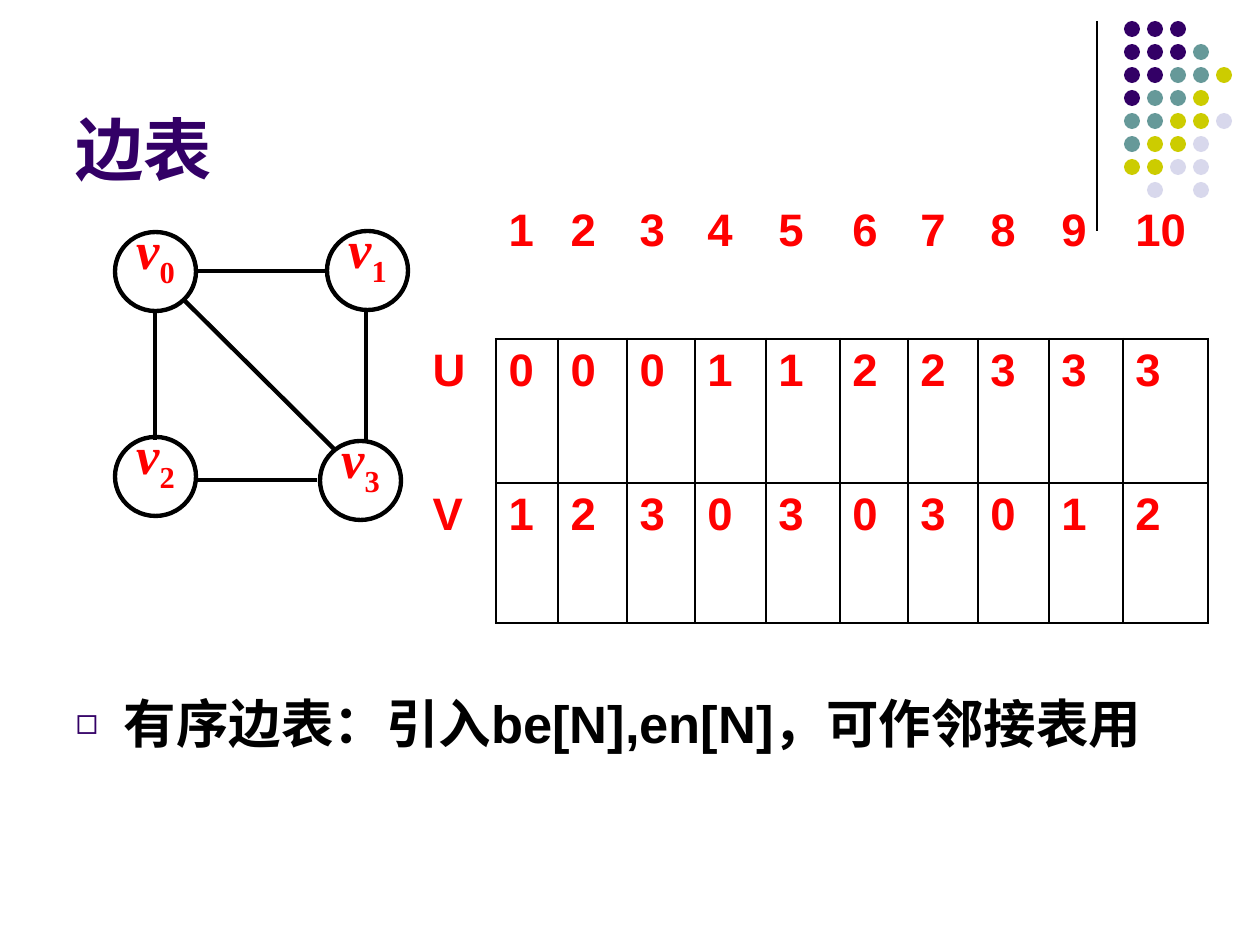
from pptx import Presentation
from pptx.dml.color import RGBColor
from pptx.enum.shapes import MSO_CONNECTOR, MSO_SHAPE
from pptx.enum.text import MSO_ANCHOR, MSO_AUTO_SIZE, PP_ALIGN
from pptx.oxml import parse_xml
from pptx.oxml.ns import nsdecls
from pptx.util import Emu, Pt
from lxml.etree import SubElement

SCALE = 914400 / 126  # EMU per px
NS = nsdecls("a")


def px(*lengths):
    return [Emu(round(length * SCALE)) for length in lengths]


def rgb(hex_string):
    return RGBColor.from_string(hex_string)


prs = Presentation()
prs.slide_width, prs.slide_height = px(1260, 945)
slide = prs.slides.add_slide(prs.slide_layouts[1])
shapes = slide.shapes
title, body = slide.placeholders

# Title and bullet
for holder, box, text, size, color, anchor in [
    (title, (63, 16, 1040, 179), "边表", 39, "330066", MSO_ANCHOR.BOTTOM),
    (body, (63, 685, 1134, 159), "有序边表：引入be[N],en[N]，可作邻接表用", 30, "000000", MSO_ANCHOR.TOP),
]:
    holder.left, holder.top, holder.width, holder.height = px(*box)
    frame = holder.text_frame
    frame.auto_size = MSO_AUTO_SIZE.NONE
    frame.word_wrap = True
    frame.vertical_anchor = anchor
    paragraph = frame.paragraphs[0]
    paragraph.alignment = PP_ALIGN.LEFT
    paragraph.space_before = Pt(0)
    run = paragraph.add_run()
    run.text = text
    run.font.name, run.font.size, run.font.bold = "Arial", Pt(size), True
    run.font.color.rgb = rgb(color)

bullet = body.text_frame.paragraphs[0]._p.get_or_add_pPr()
hanging = px(48)[0]
bullet.set("marL", str(hanging))
bullet.set("indent", str(-hanging))
for xml in [
    f'<a:buClr {NS}><a:srgbClr val="330066"/></a:buClr>',
    f'<a:buSzPct {NS} val="70000"/>',
    f'<a:buChar {NS} char="◻"/>',
]:
    bullet.append(parse_xml(xml))

# Corner dots: one letter per dot, a dot "." where the grid is empty
DOT_COLORS = {"P": "330066", "T": "669999", "Y": "CCCC00", "L": "D8D8EC"}
dot_rows = ["PPP", "PPPT", "PPTTY", "PTTY", "TTYYL", "TYYL", "YYLL", ".L.L"]
for row, letters in enumerate(dot_rows):
    for column, letter in enumerate(letters):
        if letter == ".":
            continue
        dot = shapes.add_shape(
            MSO_SHAPE.OVAL, *px(1124 + 23 * column, 21 + 23 * row, 16, 16))
        dot.shadow.inherit = False
        dot.fill.solid()
        dot.fill.fore_color.rgb = rgb(DOT_COLORS[letter])
        dot.line.fill.background()

# Corner rule and graph edges
for x1, y1, x2, y2, weight in [
    (1097, 21, 1097, 231, 0.75),
    (195, 271, 326, 271, 2.5),
    (366, 311, 366, 440, 2.5),
    (195, 480, 317, 480, 2.5),
    (155, 311, 155, 440, 2.5),
    (185, 301, 335, 450, 2.5),
]:
    edge = shapes.add_connector(MSO_CONNECTOR.STRAIGHT, *px(x1, y1, x2, y2))
    edge.line.color.rgb = rgb("000000")
    edge.line.width = Pt(weight)
    edge._element.spPr.append(parse_xml(f"<a:effectLst {NS}/>"))

# Graph vertices
for index, (x, y) in enumerate([(115, 232), (327, 231), (115, 437), (320, 441)]):
    vertex = shapes.add_shape(MSO_SHAPE.OVAL, *px(x, y, 81, 79))
    vertex.shadow.inherit = False
    vertex.fill.background()
    vertex.line.color.rgb = rgb("000000")
    vertex.line.width = Pt(2.5)
    frame = vertex.text_frame
    frame.margin_left = frame.margin_top = frame.margin_right = frame.margin_bottom = 0
    frame.word_wrap = False
    frame.vertical_anchor = MSO_ANCHOR.TOP
    label = frame.paragraphs[0]
    label.alignment = PP_ALIGN.CENTER
    label.line_spacing = Pt(26)
    for text, is_subscript in [("v", False), (str(index), True)]:
        run = label.add_run()
        run.text = text
        font = run.font
        font.name, font.size, font.bold = "Times New Roman", Pt(30), True
        font.italic = not is_subscript
        font.color.rgb = rgb("FF0000")
        if is_subscript:
            font._element.set("baseline", "-25000")

# Edge list table
edge_list = [
    ["", "1", "2", "3", "4", "5", "6", "7", "8", "9", "10"],
    ["U", "0", "0", "0", "1", "1", "2", "2", "3", "3", "3"],
    ["V", "1", "2", "3", "0", "3", "0", "3", "0", "1", "2"],
]
column_widths = [76, 62, 69, 68, 71, 74, 68, 70, 71, 74, 85]
row_heights = [140, 144, 140]
table = shapes.add_table(
    3, 11, *px(420, 199, sum(column_widths), sum(row_heights))).table
table.first_row = table.horz_banding = False
# The "No Style, No Grid" table style
table._tbl.tblPr[0].text = "{2D5ABB26-0587-4C30-8999-92F81FD0307C}"
for column, width in zip(table.columns, px(*column_widths)):
    column.width = width
for row, height in zip(table.rows, px(*row_heights)):
    row.height = height

for r, values in enumerate(edge_list):
    for c, value in enumerate(values):
        cell = table.cell(r, c)
        if r and c:
            sides = ["lnL", "lnR", "lnT", "lnB"]
        elif r:
            sides = ["lnR"]
        else:
            sides = ["lnB"] if c else []
        cell_properties = cell._tc.get_or_add_tcPr()
        for side in sides:
            border = parse_xml(f'<a:{side} {NS} w="{Pt(1.47)}"><a:solidFill/></a:{side}>')
            SubElement(border[0], border[0].tag.replace("solidFill", "srgbClr"), val="000000")
            cell_properties.append(border)
        cell.fill.background()
        if value:
            run = cell.text_frame.paragraphs[0].add_run()
            run.text = value
            run.font.name, run.font.size, run.font.bold = "Arial", Pt(26), True
            run.font.color.rgb = rgb("FF0000")

prs.save("out.pptx")
